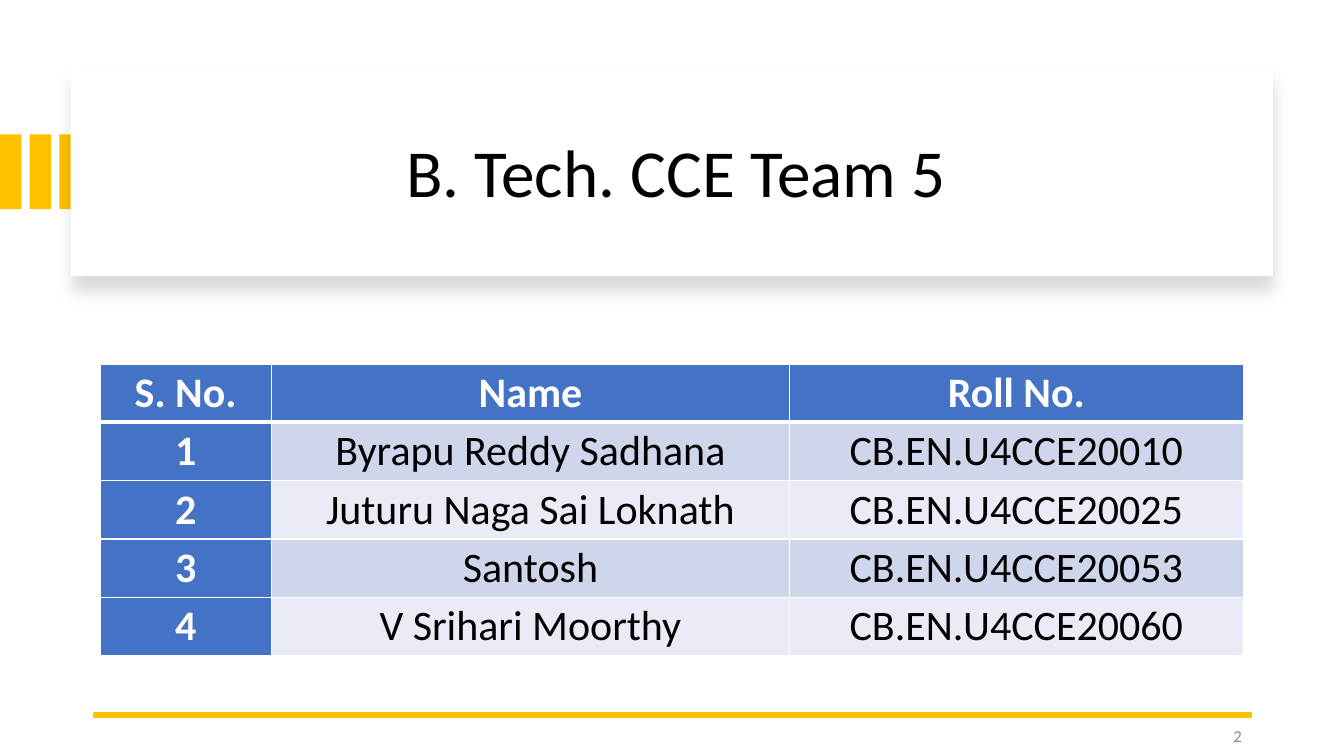
from lxml.etree import SubElement
from pptx import Presentation
from pptx.dml.color import RGBColor
from pptx.enum.shapes import MSO_CONNECTOR, MSO_SHAPE
from pptx.enum.text import MSO_ANCHOR, PP_ALIGN
from pptx.oxml.ns import qn
from pptx.util import Cm, Pt

COLORS = {
    "accent": "FFC000",
    "header": "4472C4",
    "odd_row": "CFD5EA",
    "even_row": "E9EBF5",
    "white": "FFFFFF",
    "text": "000000",
    "muted": "8C8C8C",
}
FONT = "Calibri"

TEAM = [
    ("S. No.", "Name", "Roll No."),
    ("1", "Byrapu Reddy Sadhana", "CB.EN.U4CCE20010"),
    ("2", "Juturu Naga Sai Loknath", "CB.EN.U4CCE20025"),
    ("3", "Santosh", "CB.EN.U4CCE20053"),
    ("4", "V Srihari Moorthy", "CB.EN.U4CCE20060"),
]
COLUMN_WIDTHS = (4.32, 13.06, 11.43)
ROW_HEIGHT = 1.47


def rgb(name):
    return RGBColor.from_string(COLORS[name])


def write(frame, text, size, color, align, bold=False):
    frame.text = text
    frame.word_wrap = True
    paragraph = frame.paragraphs[0]
    paragraph.alignment = align
    font = paragraph.runs[0].font
    font.name, font.size, font.bold = FONT, Pt(size), bold
    font.color.rgb = rgb(color)
    return paragraph


def add_block(slide, left, top, width, height, color):
    block = slide.shapes.add_shape(
        MSO_SHAPE.RECTANGLE, Cm(left), Cm(top), Cm(width), Cm(height))
    block.shadow.inherit = False
    block.fill.solid()
    block.fill.fore_color.rgb = rgb(color)
    block.line.fill.background()
    return block


def add_soft_shadow(block):
    effects = block._element.spPr.find(qn("a:effectLst"))
    shadow = SubElement(effects, qn("a:outerShdw"), blurRad=str(Pt(11)),
                        dist=str(Pt(10)), dir="5400000", algn="t", rotWithShape="0")
    tint = SubElement(shadow, qn("a:srgbClr"), val=COLORS["text"])
    SubElement(tint, qn("a:alpha"), val="15000")


def place_title(slide, text):
    title = slide.shapes.title
    title.left, title.top, title.width, title.height = Cm(2.9), Cm(2.26), Cm(28.27), Cm(4.32)
    heading = write(title.text_frame, text, 48, "text", PP_ALIGN.CENTER)
    heading.line_spacing = 0.9
    title.text_frame.vertical_anchor = MSO_ANCHOR.MIDDLE
    # Bring the title in front of its card
    slide.shapes._spTree.append(title._element)


def add_rule(slide, start, end, y):
    rule = slide.shapes.add_connector(
        MSO_CONNECTOR.STRAIGHT, Cm(start), Cm(y), Cm(end), Cm(y))
    rule.line.color.rgb = rgb("accent")
    rule.line.width = Pt(4.5)
    SubElement(rule._element.spPr, qn("a:effectLst"))


def set_borders(cell, row):
    properties = cell._tc.get_or_add_tcPr()
    widths = {"lnL": 1, "lnR": 1, "lnT": 3 if row == 1 else 1, "lnB": 3 if row == 0 else 1}
    for side, width in widths.items():
        border = SubElement(properties, qn(f"a:{side}"), w=str(Pt(width)))
        paint = SubElement(border, qn("a:solidFill"))
        SubElement(paint, qn("a:srgbClr"), val=COLORS["white"])


def format_cell(cell, text, row, column):
    is_heading = row == 0 or column == 0
    write(cell.text_frame, text, 30, "white" if is_heading else "text",
          PP_ALIGN.CENTER, bold=is_heading)
    cell.vertical_anchor = MSO_ANCHOR.MIDDLE
    cell.margin_left = cell.margin_right = Cm(0.36)
    cell.margin_top = cell.margin_bottom = Cm(0)
    set_borders(cell, row)
    cell.fill.solid()
    band = "odd_row" if row % 2 else "even_row"
    cell.fill.fore_color.rgb = rgb("header" if is_heading else band)


def add_team_table(slide, left, top):
    team = slide.shapes.add_table(
        len(TEAM), len(COLUMN_WIDTHS), Cm(left), Cm(top),
        Cm(sum(COLUMN_WIDTHS)), Cm(ROW_HEIGHT * len(TEAM))).table
    team.first_col = True
    for column, width in zip(team.columns, COLUMN_WIDTHS):
        column.width = Cm(width)
    for row, member in enumerate(TEAM):
        team.rows[row].height = Cm(ROW_HEIGHT)
        for column, text in enumerate(member):
            format_cell(team.cell(row, column), text, row, column)


def add_page_number(slide, number):
    page = slide.shapes.add_textbox(Cm(23.93), Cm(18.03), Cm(7.62), Cm(1.02))
    write(page.text_frame, number, 12, "muted", PP_ALIGN.RIGHT)
    page.text_frame.vertical_anchor = MSO_ANCHOR.MIDDLE


def main():
    deck = Presentation()
    deck.slide_width, deck.slide_height = Cm(33.87), Cm(19.05)
    slide = deck.slides.add_slide(deck.slide_layouts[5])

    # Accent bars, partly covered by the title card
    for index in range(3):
        add_block(slide, 0.75 * index, 3.39, 0.54, 1.88, "accent")

    # Title card
    card = add_block(slide, 1.78, 1.7, 30.3, 5.26, "white")
    add_soft_shadow(card)
    place_title(slide, "B. Tech. CCE Team 5")

    # Team list
    add_team_table(slide, 2.52, 9.17)

    # Footer
    add_rule(slide, 31.55, 2.34, 18.01)
    add_page_number(slide, "2")

    deck.save("out.pptx")


if __name__ == "__main__":
    main()
